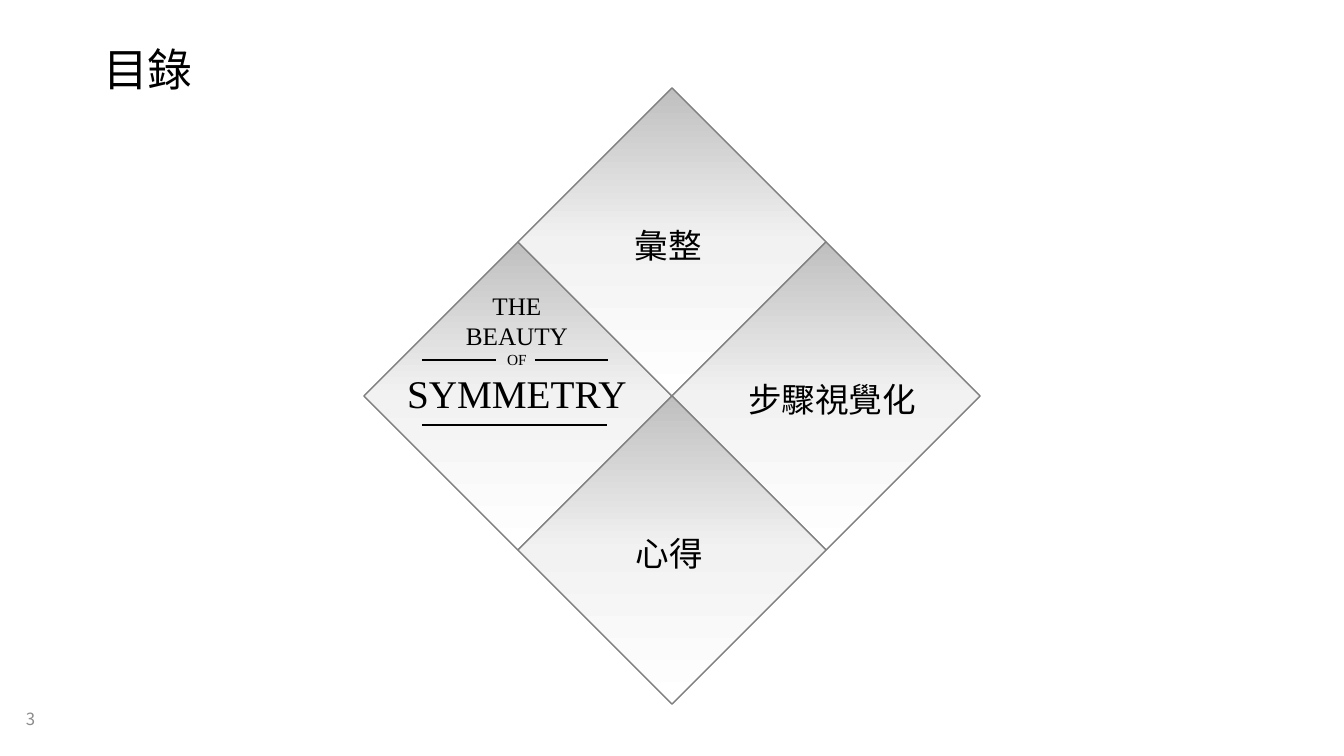
from copy import deepcopy
from dataclasses import dataclass

from lxml import etree
from pptx import Presentation
from pptx.dml.color import RGBColor
from pptx.enum import shapes, text
from pptx.oxml import ns

SCALE = 9071.43


def emu(*px):
    return [round(n * SCALE) for n in px]


@dataclass(frozen=True)
class Theme:
    ink: str = "000000"
    edge: str = "808080"
    mute: str = "8C8C8C"
    shade: tuple = ((0, "BFBFBF"), (0.5, "F2F2F2"), (1, "FFFFFF"))
    sans: str = "Noto Sans CJK SC"
    serif: str = "Times New Roman"
    title: int = 32
    large: int = 28
    label: int = 24
    mid: int = 18
    note: int = 12
    small: int = 11


def write(frame, *lines, size, font, color, align=text.PP_ALIGN.LEFT,
          anchor=text.MSO_ANCHOR.TOP, space=None):
    frame.word_wrap = True
    frame.vertical_anchor = anchor
    frame.text = "\n".join(lines)
    sizes = size if isinstance(size, tuple) else (size,) * len(lines)
    for para, pt in zip(frame.paragraphs, sizes):
        para.alignment = align
        para.line_spacing = space
        run = para.runs[0].font
        run.size = round(pt * 12700)
        run.name = font
        run.color.rgb = RGBColor.from_string(color)
        east = etree.SubElement(run._element, ns.qn("a:ea"))
        east.set("typeface", Theme.sans)


class Deck:
    """Draws elements on the current slide in one theme."""

    def __init__(self, theme):
        self.theme = theme
        self.prs = Presentation()
        self.prs.slide_width, self.prs.slide_height = emu(1344, 756)
        self.slide = self.prs.slides.add_slide(self.prs.slide_layouts[5])
        self.home = self.slide.shapes

    def title(self, words, *box):
        head = self.slide.shapes.title
        head.left, head.top, head.width, head.height = emu(*box)
        write(head.text_frame, words, size=self.theme.title,
              font=self.theme.sans, color=self.theme.ink,
              anchor=text.MSO_ANCHOR.MIDDLE, space=0.9)

    def group(self):
        self.home = self.slide.shapes.add_group_shape().shapes

    def label(self, *lines, box, **style):
        area = self.home.add_textbox(*emu(*box))
        look = dict(font=self.theme.serif, color=self.theme.ink,
                    align=text.PP_ALIGN.CENTER)
        write(area.text_frame, *lines, **(look | style))

    def diamond(self, x, y, side):
        tile = self.home.add_shape(
            shapes.MSO_SHAPE.RECTANGLE,
            *emu(x - side / 2, y - side / 2, side, side))
        tile.rotation = 45
        tile.shadow.inherit = False
        tile.fill.gradient()
        tile.fill.gradient_angle = 315
        stops = tile._element.find(".//" + ns.qn("a:gsLst"))
        stops.append(deepcopy(stops[0]))
        for stop, (spot, color) in zip(tile.fill.gradient_stops,
                                       self.theme.shade):
            stop.position = spot
            stop.color.rgb = RGBColor.from_string(color)
        tile.line.color.rgb = RGBColor.from_string(self.theme.edge)
        tile.line.width = 12700

    def rule(self, left, right, y):
        line = self.home.add_connector(
            shapes.MSO_CONNECTOR.STRAIGHT, *emu(left, y, right, y))
        line.line.color.rgb = RGBColor.from_string(self.theme.ink)
        line.line.width = 19050
        etree.SubElement(line._element.spPr, ns.qn("a:effectLst"))


def main():
    theme = Theme()
    deck = Deck(theme)
    deck.title("目錄", 93, 40, 1159, 63)
    deck.label("3", box=(16, 699, 68, 39), size=theme.note, font=theme.sans,
               color=theme.mute, align=text.PP_ALIGN.LEFT,
               anchor=text.MSO_ANCHOR.MIDDLE)

    mid_x, mid_y, step, side = 672, 396, 154, 218
    deck.group()
    deck.diamond(mid_x - step, mid_y, side)
    for left, right, y in ((422, 496, 360), (535, 608, 360), (422, 607, 425)):
        deck.rule(left, right, y)
    deck.label("THE", "BEAUTY", "OF", "SYMMETRY", box=(375, 285, 284, 137),
               size=(theme.mid, theme.mid, theme.small, theme.large))

    for words, col, row, left, width in (("彙整", 0, -1, 596, 145),
                                         ("步驟視覺化", 1, 0, 709, 246),
                                         ("心得", 0, 1, 597, 145)):
        x, y = mid_x + col * step, mid_y + row * step
        deck.group()
        deck.diamond(x, y, side)
        deck.label(words, box=(left, y - 22, width, 50), size=theme.label)

    deck.prs.save("out.pptx")


if __name__ == "__main__":
    main()
